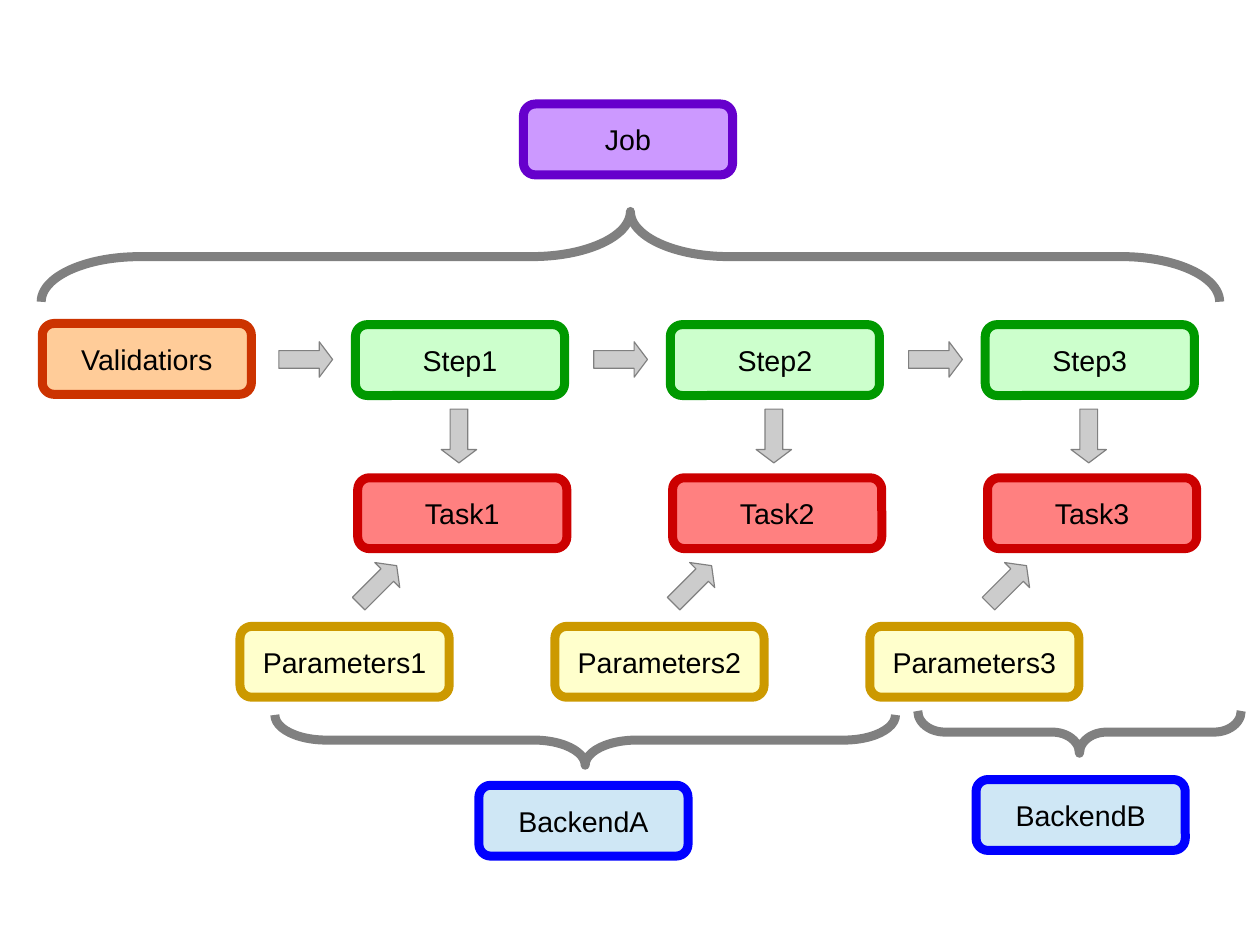
from pptx import Presentation
from pptx.dml.color import RGBColor
from pptx.enum.shapes import MSO_SHAPE as SHAPE
from pptx.enum.text import MSO_ANCHOR as ANCHOR, PP_ALIGN as ALIGN
from pptx.util import Inches, Pt

BLACK = RGBColor(0x00, 0x00, 0x00)
GRAY = RGBColor(0x80, 0x80, 0x80)
SILVER = RGBColor(0xCC, 0xCC, 0xCC)
PURPLE = (RGBColor(0xCC, 0x99, 0xFF), RGBColor(0x66, 0x00, 0xCC))
ORANGE = (RGBColor(0xFF, 0xCC, 0x99), RGBColor(0xCC, 0x33, 0x00))
GREEN = (RGBColor(0xCC, 0xFF, 0xCC), RGBColor(0x00, 0x99, 0x00))
RED = (RGBColor(0xFF, 0x80, 0x80), RGBColor(0xCC, 0x00, 0x00))
YELLOW = (RGBColor(0xFF, 0xFF, 0xCC), RGBColor(0xCC, 0x99, 0x00))
BLUE = (RGBColor(0xCF, 0xE7, 0xF5), RGBColor(0x00, 0x00, 0xFF))

CM_PER_INCH = 2.54
SLIDE_WIDTH_CM, SLIDE_HEIGHT_CM = 28, 21
BOX_SIZE = (1.83, 0.62)
ARROW_SIZE = (0.47, 0.31)
THICK, HAIRLINE = 5.67, 0
COLUMN_COUNT, COLUMN_SPAN = 3, 5.51

SINGLE_BOXES = [
    ("Job", 4.58, 0.91, PURPLE),
    ("Validatiors", 0.37, 2.83, ORANGE),
    ("BackendA", 4.19, 6.87, BLUE),
    ("BackendB", 8.54, 6.82, BLUE),
]
BOX_ROWS = [
    ("Step", 3.11, 2.84, GREEN),
    ("Task", 3.13, 4.18, RED),
    ("Parameters", 2.1, 5.48, YELLOW),
]
ARROW_ROWS = [(2.44, 2.99, 0), (3.78, 3.66, 90), (3.07, 4.96, 315)]
BRACES = [
    (5.12, -2.91, 0.79, 10.31, 90, 1.09),
    (4.9, 3.76, 0.44, 5.43, 270, 1.02),
    (9.26, 4.99, 0.37, 2.83, 270, 0.64),
]

TEXT_FRAME_FORMAT = {
    "word_wrap": False,
    "vertical_anchor": ANCHOR.MIDDLE,
    "margin_left": Inches(0.14),
    "margin_right": Inches(0.14),
    "margin_top": Inches(0.09),
    "margin_bottom": Inches(0.09),
}
FONT_FORMAT = {"name": "Arial", "size": Pt(18)}


def add_preset(slide, kind, bounds, fill, line, width, adjustments, rotation=0):
    shape = slide.shapes.add_shape(kind, *map(Inches, bounds))
    shape.shadow.inherit = False
    shape.rotation = rotation
    for index, value in enumerate(adjustments):
        shape.adjustments[index] = value
    if fill is None:
        shape.fill.background()
    else:
        shape.fill.solid()
        shape.fill.fore_color.rgb = fill
    shape.line.color.rgb = line
    shape.line.width = Pt(width)
    return shape


def add_box(slide, label, left, top, colors):
    shape = add_preset(slide, SHAPE.ROUNDED_RECTANGLE, (left, top, *BOX_SIZE),
                       *colors, THICK, [0.167])
    text_frame = shape.text_frame
    for name, value in TEXT_FRAME_FORMAT.items():
        setattr(text_frame, name, value)
    paragraph = text_frame.paragraphs[0]
    paragraph.alignment = ALIGN.CENTER
    run = paragraph.add_run()
    run.text = label
    for name, value in FONT_FORMAT.items():
        setattr(run.font, name, value)
    run.font.color.rgb = BLACK


def main():
    presentation = Presentation()
    presentation.slide_width = Inches(SLIDE_WIDTH_CM / CM_PER_INCH)
    presentation.slide_height = Inches(SLIDE_HEIGHT_CM / CM_PER_INCH)
    slide = presentation.slides.add_slide(presentation.slide_layouts[6])

    for box in SINGLE_BOXES:
        add_box(slide, *box)
    for column in range(COLUMN_COUNT):
        offset = column * COLUMN_SPAN / (COLUMN_COUNT - 1)
        for label, left, top, colors in BOX_ROWS:
            add_box(slide, f"{label}{column + 1}", left + offset, top, colors)
        for left, top, rotation in ARROW_ROWS:
            add_preset(slide, SHAPE.RIGHT_ARROW, (left + offset, top, *ARROW_SIZE),
                       SILVER, GRAY, HAIRLINE, [0.5, 0.375], rotation)
    for *bounds, rotation, curve in BRACES:
        add_preset(slide, SHAPE.LEFT_BRACE, bounds, None, GRAY, THICK,
                   [curve, 0.5], rotation)

    presentation.save("out.pptx")


if __name__ == "__main__":
    main()
